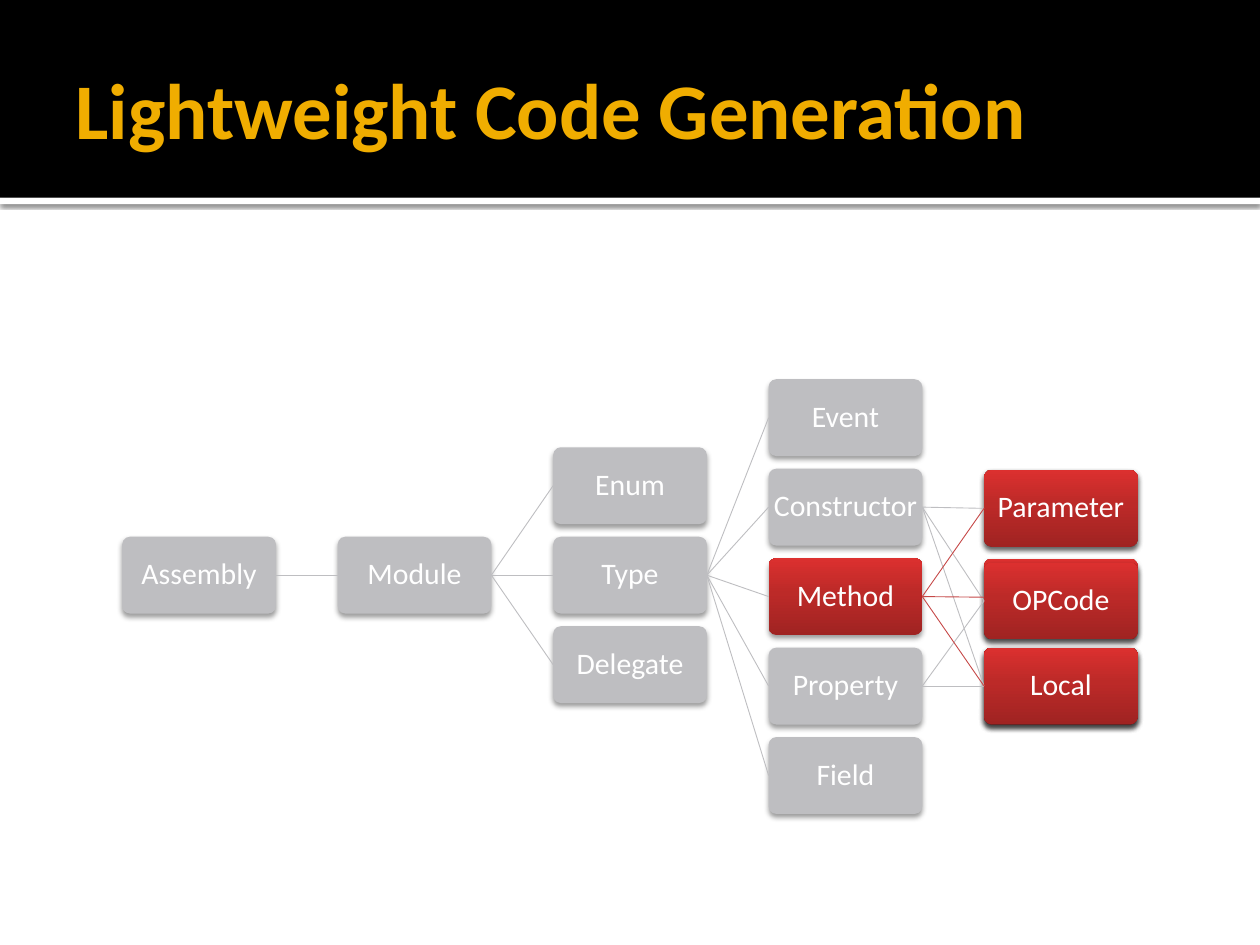
from pptx import Presentation
from pptx.dml.color import RGBColor
from pptx.enum.shapes import MSO_CONNECTOR, MSO_SHAPE
from pptx.enum.text import MSO_ANCHOR, PP_ALIGN
from pptx.oxml.ns import qn
from pptx.oxml.xmlchemy import OxmlElement
from pptx.util import Inches, Pt

RECT, ROUNDED = MSO_SHAPE.RECTANGLE, MSO_SHAPE.ROUNDED_RECTANGLE
STRAIGHT = MSO_CONNECTOR.STRAIGHT
MIDDLE = MSO_ANCHOR.MIDDLE
LEFT, CENTER = PP_ALIGN.LEFT, PP_ALIGN.CENTER
LEFT_SITE, RIGHT_SITE = 1, 3

BLACK = RGBColor(0x00, 0x00, 0x00)
WHITE = RGBColor(0xFF, 0xFF, 0xFF)
GOLD = RGBColor(0xF0, 0xAD, 0x00)
GRAY = RGBColor(0xBE, 0xBE, 0xC1)
RED_LINE = RGBColor(0xC6, 0x48, 0x47)
RED_STOPS = [(0, RGBColor(0xA0, 0x23, 0x22)),
             (55, RGBColor(0xBC, 0x2A, 0x28)),
             (100, RGBColor(0xDC, 0x30, 0x2F))]

# Tree grid, in inches
BOX_W, BOX_H = 1.22, 0.61
FIRST_X, COL_PITCH, ROW_PITCH = 0.97, 1.71, 0.71
COLUMNS = [
    (4.26, ["Assembly"]),
    (4.26, ["Module"]),
    (3.55, ["Enum", "Type", "Delegate"]),
    (3.01, ["Event", "Constructor", "Method", "Property", "Field"]),
]
LEAF_X, LEAF_TOP = FIRST_X + 4 * COL_PITCH, 3.73
LEAVES = [("Parameter", 0, 1), ("OPCode", 0.03, 2), ("Local", 0, 2)]  # name, shift, cards behind
LINKS = {
    "Assembly": ["Module"],
    "Module": ["Enum", "Type", "Delegate"],
    "Type": ["Event", "Constructor", "Method", "Property", "Field"],
    "Constructor": ["Parameter", "OPCode", "Local"],
    "Property": ["OPCode", "Local"],
    "Method": ["Parameter", "OPCode", "Local"],
}


def add_child(parent, tag, **attrs):
    child = OxmlElement(tag)
    for name, value in attrs.items():
        child.set(name, str(value))
    parent.append(child)
    return child


class Deck:
    font = "Calibri"

    def __init__(self):
        self.prs = Presentation()
        self.prs.slide_width, self.prs.slide_height = Inches(10), Inches(7.5)
        self.s = self.prs.slides.add_slide(self.prs.slide_layouts[5])

    def style(self, p, size, color, align, bold=False):
        p.alignment = align
        p.font.name, p.font.size, p.font.bold = self.font, Pt(size), bold
        p.font.color.rgb = color

    def shape(self, kind, x, y, w, h, color=None):
        sp = self.s.shapes.add_shape(kind, Inches(x), Inches(y), Inches(w), Inches(h))
        if color is None:
            self.red_gradient(sp)
        else:
            sp.fill.solid()
            sp.fill.fore_color.rgb = color
        sp.line.fill.background()
        sp.shadow.inherit = False
        return sp

    def red_gradient(self, sp):
        sp.fill.gradient()
        sp.fill.gradient_angle = 90
        stops = sp._element.spPr.find(qn("a:gradFill")).find(qn("a:gsLst"))
        for old in list(stops):
            stops.remove(old)
        for pos, color in RED_STOPS:
            add_child(add_child(stops, "a:gs", pos=pos * 1000), "a:srgbClr", val=color)

    def shadow(self, sp, opacity, blur, dist):
        effects = sp._element.spPr.find(qn("a:effectLst"))
        outer = add_child(effects, "a:outerShdw", blurRad=Pt(blur), dist=Pt(dist),
                          dir=90 * 60000, algn="ctr", rotWithShape=0)
        add_child(add_child(outer, "a:srgbClr", val=BLACK), "a:alpha", val=opacity * 1000)

    def band(self, y, h, color):
        sp = self.shape(RECT, 0, y, 10, h, color)
        tree = self.s.shapes._spTree
        tree.remove(sp._element)
        tree.insert(2, sp._element)  # behind the title
        return sp

    def title(self, text):
        sp = self.s.shapes.title
        sp.left, sp.top, sp.width, sp.height = Inches(0.5), Inches(0.17), Inches(9), Inches(1.37)
        tf = sp.text_frame
        tf.text = text
        tf.vertical_anchor = MIDDLE
        tf.margin_left = Inches(0.1)
        tf.margin_top = tf.margin_right = tf.margin_bottom = Inches(0.05)
        self.style(tf.paragraphs[0], 45, GOLD, LEFT, bold=True)

    def box(self, x, y, color=None, text=None):
        sp = self.shape(ROUNDED, x, y, BOX_W, BOX_H, color)
        sp.adjustments[0] = 0.1
        self.shadow(sp, 38, 3.1, 2)
        if text:
            tf = sp.text_frame
            tf.word_wrap = True
            tf.vertical_anchor = MIDDLE
            tf.margin_left = tf.margin_right = tf.margin_top = tf.margin_bottom = Inches(0.01)
            p = tf.paragraphs[0]
            p.text = text
            p.line_spacing = 0.9
            self.style(p, 17, WHITE, CENTER)
        return sp

    def link(self, parent, child, color):
        line = self.s.shapes.add_connector(STRAIGHT, 0, 0, 0, 0)
        line.begin_connect(parent, RIGHT_SITE)
        line.end_connect(child, LEFT_SITE)
        line.line.color.rgb = color
        line.line.width = Pt(0.5)
        add_child(line._element.spPr, "a:effectLst")


def main():
    deck = Deck()

    # Header
    deck.band(0, 1.57, BLACK)
    strip = deck.band(1.57, 0.05, WHITE)
    deck.shadow(strip, 60, 2.5, 0.8)
    deck.title("Lightweight Code Generation")

    # Tree boxes; only the method is highlighted
    boxes = {}
    for col, (top, names) in enumerate(COLUMNS):
        for row, name in enumerate(names):
            color = None if name == "Method" else GRAY
            boxes[name] = deck.box(FIRST_X + col * COL_PITCH, top + row * ROW_PITCH, color, name)

    # Shared leaves, each on a small stack of cards
    method_targets = {}
    for row, (name, shift, cards) in enumerate(LEAVES):
        y = LEAF_TOP + row * (ROW_PITCH - 0.005)
        for card in range(cards):
            method_targets[name] = deck.box(LEAF_X, y + (shift if card == 0 else 0))
        boxes[name] = deck.box(LEAF_X, y + shift, text=name)

    # Links
    for parent, children in LINKS.items():
        for child in children:
            if parent == "Method":
                deck.link(boxes[parent], method_targets[child], RED_LINE)
            else:
                deck.link(boxes[parent], boxes[child], GRAY)

    deck.prs.save("out.pptx")


if __name__ == "__main__":
    main()
